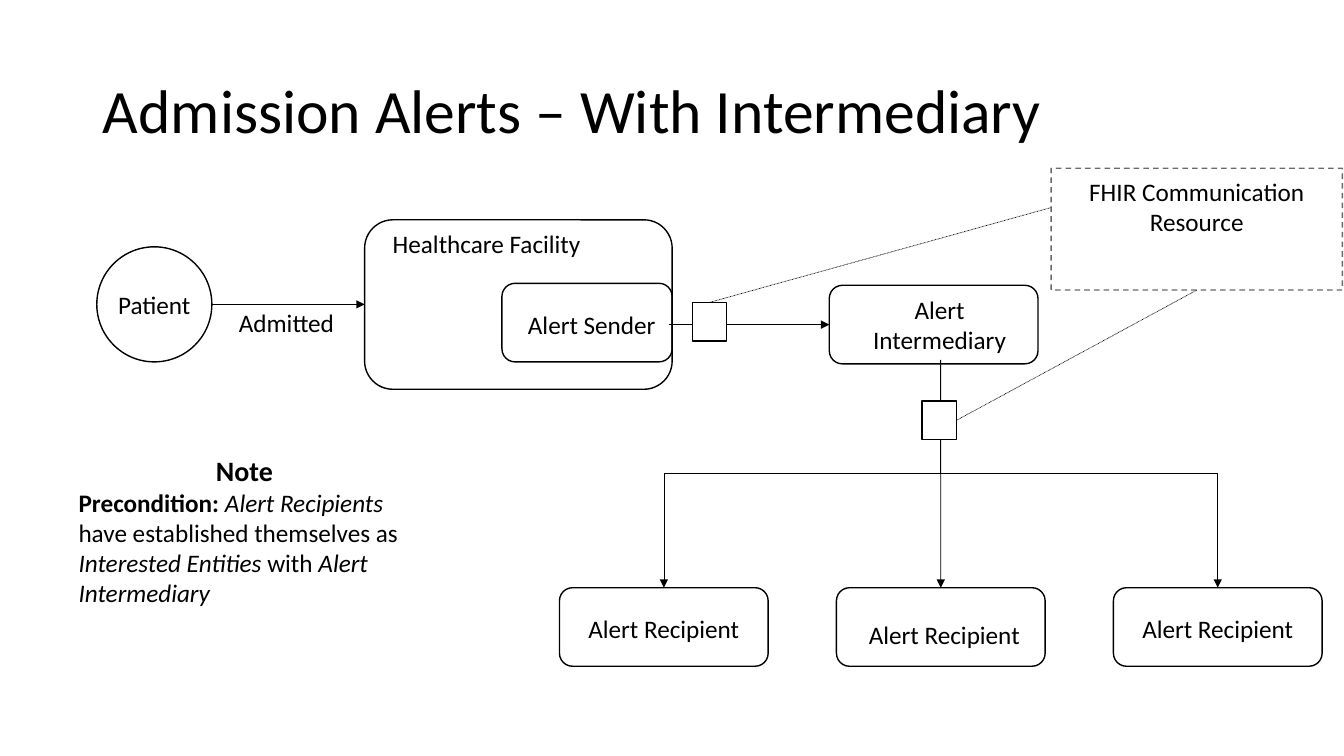
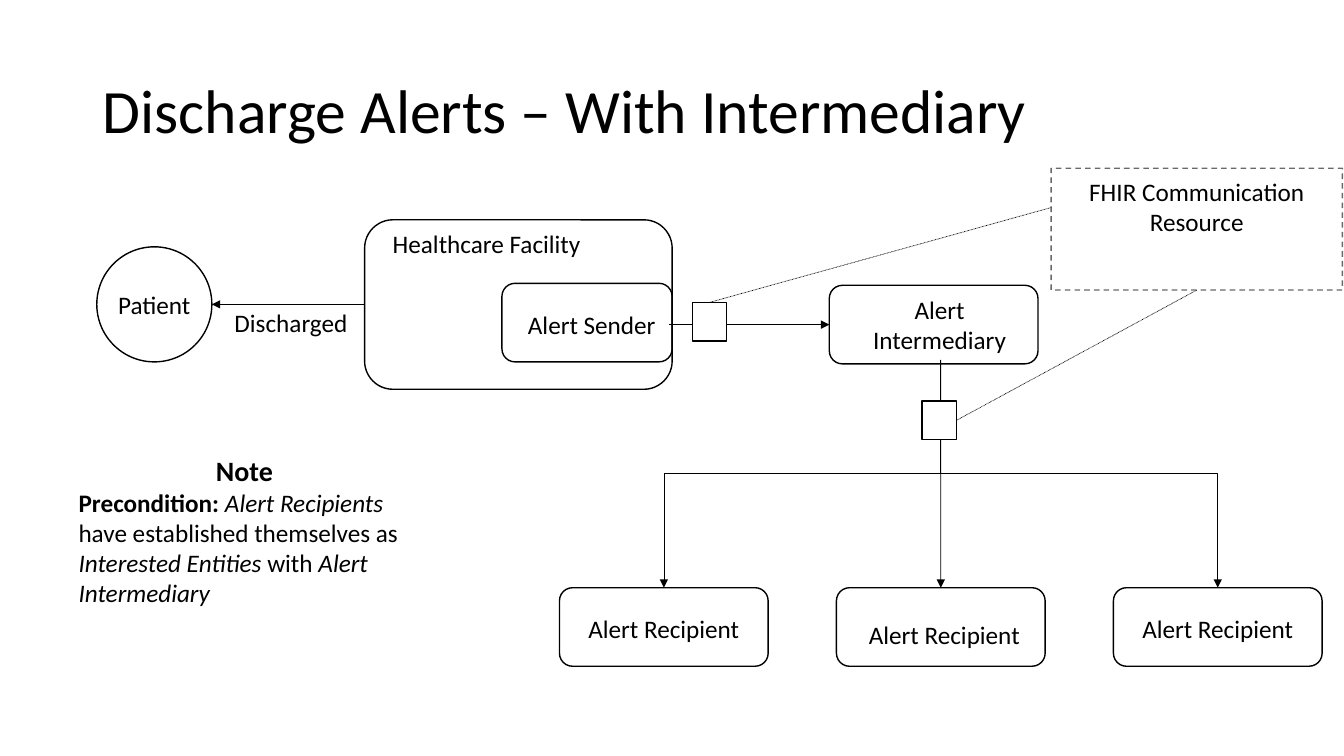
from lxml.etree import SubElement
from pptx import Presentation
from pptx.dml.color import RGBColor
from pptx.enum.dml import MSO_LINE
from pptx.enum.shapes import MSO_CONNECTOR, MSO_SHAPE
from pptx.enum.text import MSO_ANCHOR, PP_ALIGN
from pptx.oxml.ns import qn
from pptx.util import Cm, Pt

FONT = "Calibri"
BLACK, WHITE = "000000", "FFFFFF"
BOX_WIDTH, BOX_HEIGHT = 5.26, 1.98
MARKER_WIDTH, MARKER_HEIGHT = 0.86, 0.97


def color(hex_value):
    return RGBColor.from_string(hex_value)


def style_paragraph(paragraph, size=18, align=PP_ALIGN.LEFT):
    paragraph.alignment = align
    paragraph.font.name = FONT
    paragraph.font.size = Pt(size)
    paragraph.font.color.rgb = color(BLACK)


def set_margins(frame, left, top, right, bottom):
    frame.margin_left, frame.margin_top = Cm(left), Cm(top)
    frame.margin_right, frame.margin_bottom = Cm(right), Cm(bottom)


# Basic parts: outlined shapes, labels and lines
def add_box(slide, kind, left, top, width, height, text="", fill=None,
            margins=(0, 0, 0, 0), align=PP_ALIGN.CENTER, anchor=MSO_ANCHOR.MIDDLE):
    shape = slide.shapes.add_shape(kind, Cm(left), Cm(top), Cm(width), Cm(height))
    shape.shadow.inherit = False
    if fill:
        shape.fill.solid()
        shape.fill.fore_color.rgb = color(fill)
    else:
        shape.fill.background()
    shape.line.color.rgb = color(BLACK)
    shape.line.width = Pt(1)
    if text:
        frame = shape.text_frame
        frame.word_wrap = True
        frame.vertical_anchor = anchor
        set_margins(frame, *margins)
        frame.text = text
        style_paragraph(frame.paragraphs[0], align=align)
    return shape


def add_text_box(slide, left, top, width, height):
    frame = slide.shapes.add_textbox(Cm(left), Cm(top), Cm(width), Cm(height)).text_frame
    frame.word_wrap = True
    return frame


def add_line(slide, start, end, kind=MSO_CONNECTOR.STRAIGHT, arrow=True):
    connector = slide.shapes.add_connector(kind, *map(Cm, (*start, *end)))
    connector.line.color.rgb = color(BLACK)
    connector.line.width = Pt(0.5)
    if arrow:
        SubElement(connector.line._get_or_add_ln(), qn("a:tailEnd"), type="triangle")
    else:
        connector.line.dash_style = MSO_LINE.ROUND_DOT
    SubElement(connector._element.spPr, qn("a:effectLst"))
    return connector


def add_vertical_elbow(slide, start, end):
    """Elbow that leaves downwards: a horizontal one turned by a quarter."""
    (x1, y1), (x2, y2) = start, end
    middle_x, middle_y = (x1 + x2) / 2, (y1 + y2) / 2
    half_length, half_spread = (y2 - y1) / 2, abs(x2 - x1) / 2
    side = 1 if x2 > x1 else -1
    connector = add_line(
        slide,
        (middle_x + side * half_length, middle_y - half_spread),
        (middle_x - side * half_length, middle_y + half_spread),
        MSO_CONNECTOR.ELBOW)
    degrees = 270 if side > 0 else 90
    connector._element.spPr.find(qn("a:xfrm")).set("rot", str(degrees * 60000))


def add_marker(slide, left, top):
    add_box(slide, MSO_SHAPE.RECTANGLE, left, top, MARKER_WIDTH, MARKER_HEIGHT, fill=WHITE)


# Regions of the diagram
def add_title(slide, text):
    title = slide.shapes.title
    title.left, title.top, title.width, title.height = map(Cm, (2.34, 1.02, 29.21, 3.68))
    title.text_frame.text = text
    title.text_frame.vertical_anchor = MSO_ANCHOR.MIDDLE
    paragraph = title.text_frame.paragraphs[0]
    style_paragraph(paragraph, 44)
    paragraph.line_spacing = 0.9


def add_patient(slide, left, top, event, event_left, arriving):
    diameter, arrow_length = 2.9, 3.85
    add_box(slide, MSO_SHAPE.OVAL, left, top, diameter, diameter, "Patient")
    middle = top + diameter / 2
    ends = [(left + diameter, middle), (left + diameter + arrow_length, middle)]
    add_line(slide, *(ends if arriving else reversed(ends)))
    frame = add_text_box(slide, event_left, middle - 0.05, 3.4, 1.02)
    frame.text = event
    style_paragraph(frame.paragraphs[0])


def add_facility(slide, left, top):
    add_box(slide, MSO_SHAPE.ROUNDED_RECTANGLE, left + 3.46, top + 1.6, 4.29, BOX_HEIGHT,
            "Alert Sender", margins=(0.24, 0.1, 0, 0))
    add_box(slide, MSO_SHAPE.ROUNDED_RECTANGLE, left, top, 7.75, 4.27,
            "Healthcare Facility", margins=(0.5, 0, 0, 0),
            align=PP_ALIGN.LEFT, anchor=MSO_ANCHOR.TOP)


def add_resource(slide, left, top, sender_marker, recipient_marker):
    width, height = 7.34, 3.07
    box = add_box(slide, MSO_SHAPE.RECTANGLE, left, top, width, height,
                  "FHIR Communication Resource", fill=WHITE,
                  margins=(0.25, 0.21, 0.25, 0), anchor=MSO_ANCHOR.TOP)
    box.line.dash_style = MSO_LINE.DASH
    line_color = box.line._get_or_add_ln().find(".//" + qn("a:srgbClr"))
    SubElement(line_color, qn("a:alpha"), val="59000")
    # Dotted references to the two message markers
    add_line(slide, (sender_marker[0] + MARKER_WIDTH / 2, sender_marker[1]),
             (left, top + 0.99), arrow=False)
    add_line(slide, (recipient_marker[0] + MARKER_WIDTH,
                     recipient_marker[1] + MARKER_HEIGHT / 2),
             (left + width / 2, top + height), arrow=False)


def add_intermediary(slide, left, top, sender_marker):
    middle = top + BOX_HEIGHT / 2
    add_box(slide, MSO_SHAPE.ROUNDED_RECTANGLE, left, top, BOX_WIDTH, BOX_HEIGHT,
            "Alert Intermediary", margins=(0.76, 0, 0.46, 0))
    add_line(slide, (left - 4.03, middle), (left, middle))
    add_marker(slide, *sender_marker)


def add_recipients(slide, left, top, source, recipient_marker):
    pitch = 6.98
    for index in range(3):
        box_left = left + index * pitch
        margins = (0.18, 0.36, 0, 0) if index == 1 else (0, 0.05, 0, 0)
        add_box(slide, MSO_SHAPE.ROUNDED_RECTANGLE, box_left, top, BOX_WIDTH, BOX_HEIGHT,
                "Alert Recipient", margins=margins)
        target = (box_left + BOX_WIDTH / 2, top)
        if index == 1:
            add_line(slide, source, target)
        else:
            add_vertical_elbow(slide, source, target)
    add_marker(slide, *recipient_marker)


def add_note(slide, left, top):
    frame = add_text_box(slide, left, top, 8.86, 4.19)
    heading = frame.paragraphs[0]
    heading.text = "Note"
    style_paragraph(heading, 20, PP_ALIGN.CENTER)
    heading.font.bold = True
    body = frame.add_paragraph()
    style_paragraph(body)
    for text, bold, italic in (
            ("Precondition: ", True, False),
            ("Alert Recipients", False, True),
            (" have established themselves as ", False, False),
            ("Interested Entities ", False, True),
            ("with ", False, False),
            ("Alert Intermediary", False, True)):
        run = body.add_run()
        run.text = text
        run.font.bold, run.font.italic = bold, italic


def add_alert_slide(presentation, title, event, event_left, arriving):
    slide = presentation.slides.add_slide(presentation.slide_layouts[5])
    sender_marker, recipient_marker = (17.45, 7.62), (23.24, 10.11)
    add_title(slide, title)
    add_patient(slide, 2.44, 6.22, event, event_left, arriving)
    add_facility(slide, 9.19, 5.54)
    add_resource(slide, 26.49, 4.24, sender_marker, recipient_marker)
    add_intermediary(slide, 20.9, 7.19, sender_marker)
    add_recipients(slide, 14.1, 14.81, (23.71, 9.07), recipient_marker)
    add_note(slide, 1.73, 11.3)


def main():
    presentation = Presentation()
    presentation.slide_width, presentation.slide_height = Cm(33.87), Cm(19.05)
    add_alert_slide(presentation, "Admission Alerts – With Intermediary",
                    "Admitted", 5.77, arriving=True)
    add_alert_slide(presentation, "Discharge Alerts – With Intermediary",
                    "Discharged", 5.66, arriving=False)
    presentation.save("out.pptx")


if __name__ == "__main__":
    main()
